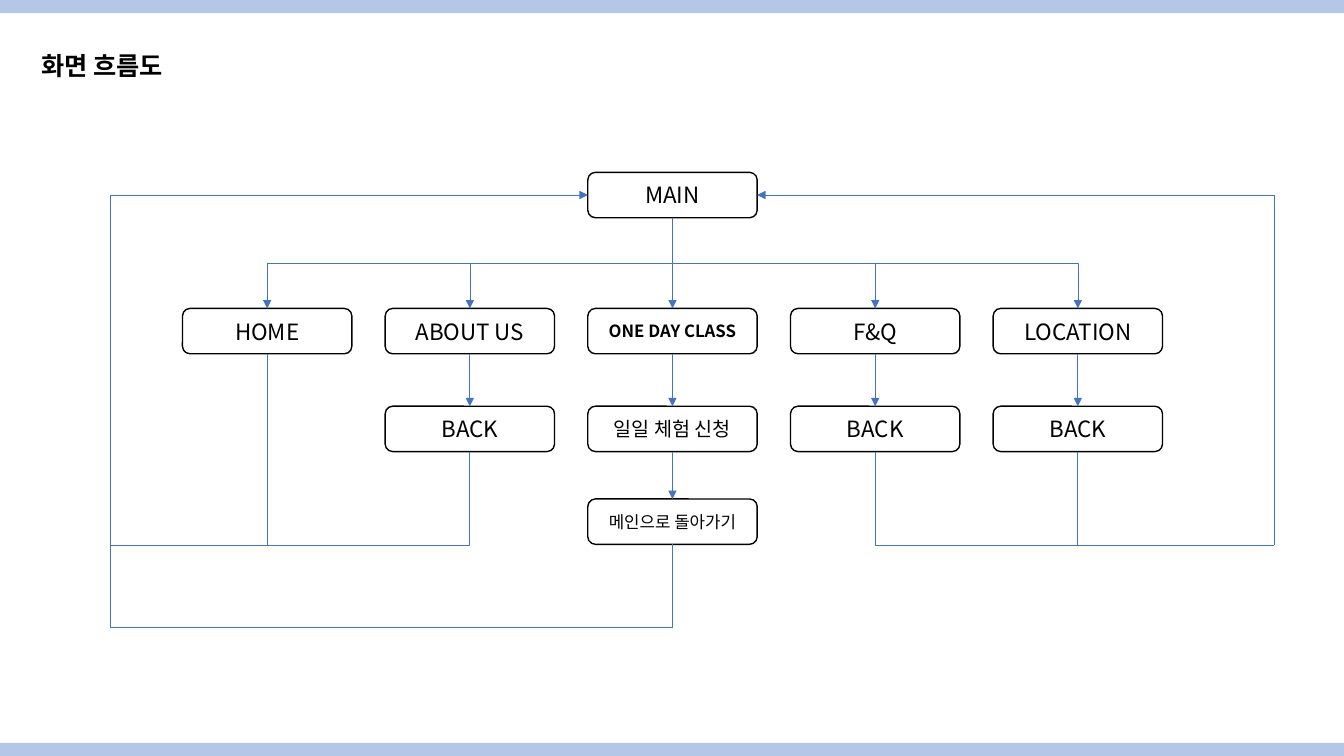
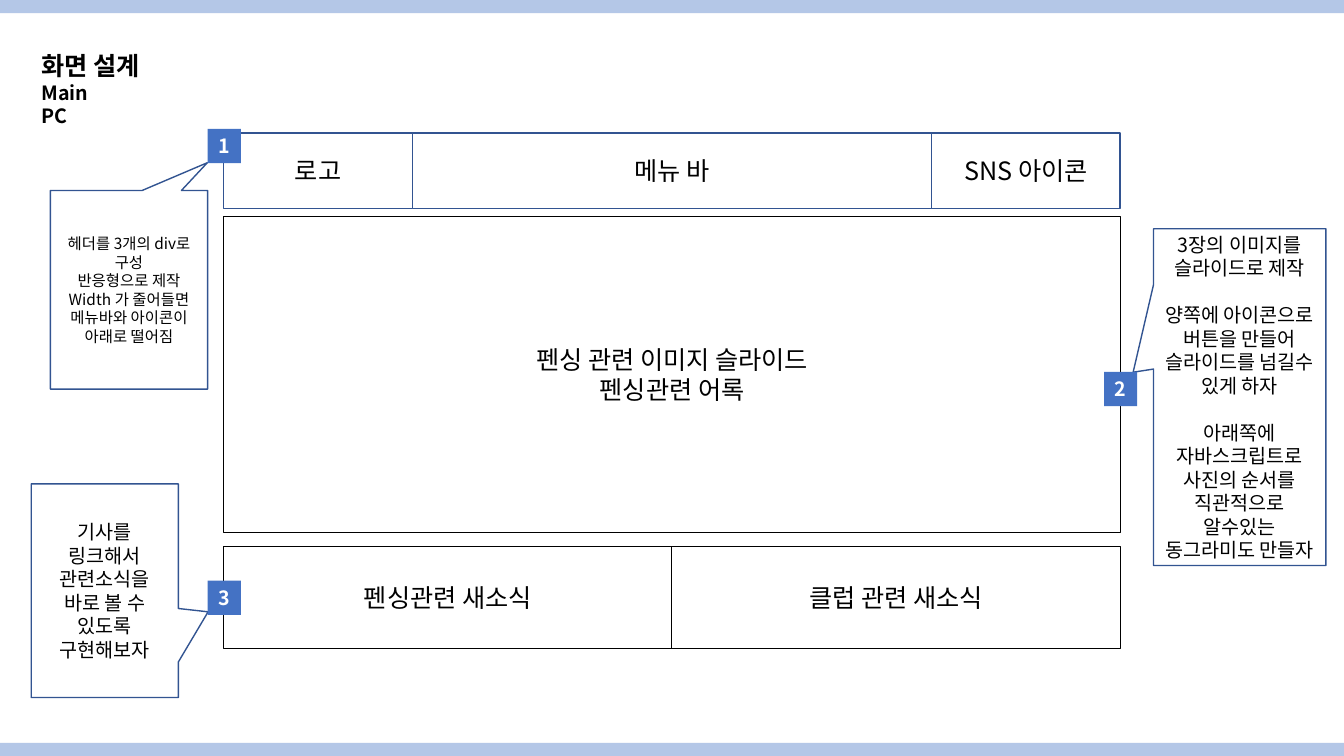
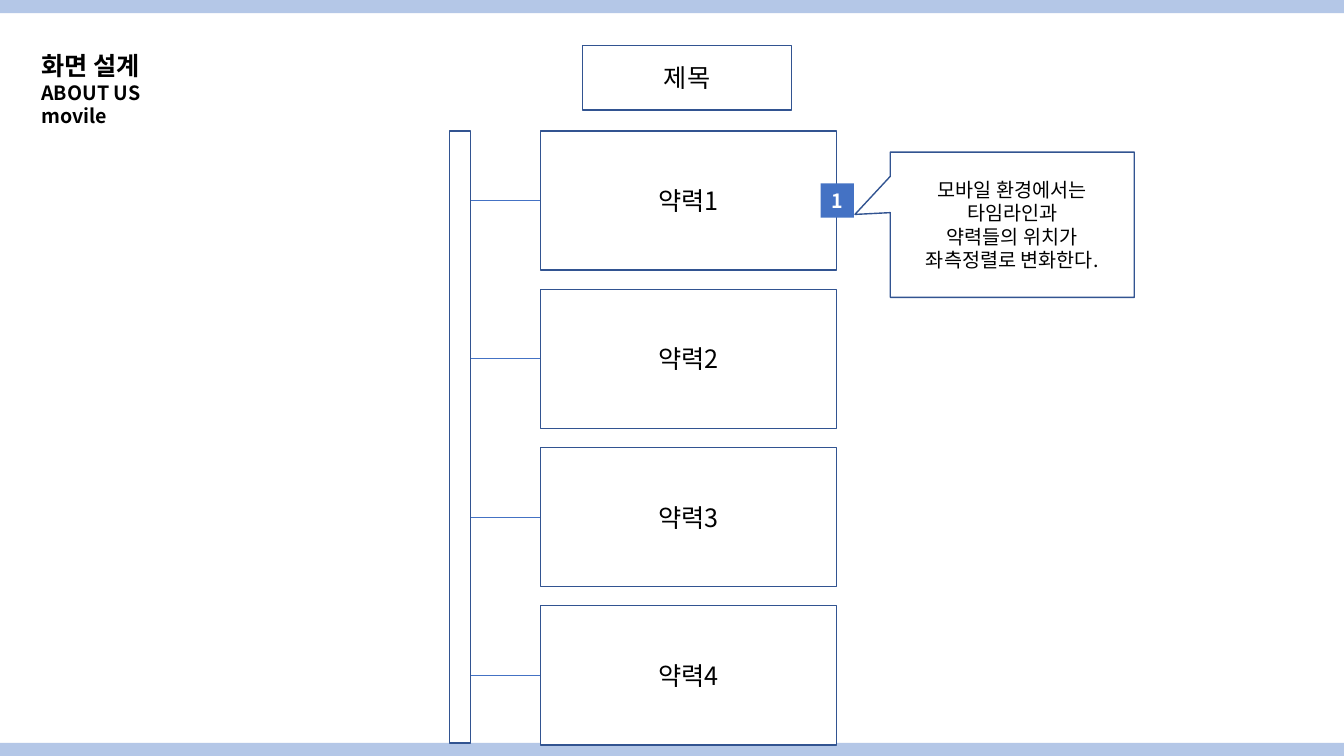
from lxml.etree import SubElement
from pptx import Presentation
from pptx.dml.color import RGBColor
from pptx.enum.shapes import MSO_CONNECTOR as CONNECTOR, MSO_SHAPE as SHAPE
from pptx.enum.text import MSO_ANCHOR as ANCHOR, PP_ALIGN as ALIGN
from pptx.oxml.ns import qn
from pptx.util import Inches, Pt

COLORS = {
    "band": "B4C7E7",
    "accent": "4472C4",
    "outline": "325491",
    "black": "000000",
    "white": "FFFFFF",
}
FONT = "Noto Sans CJK KR"
WIDTH, HEIGHT, BAND = 13.33, 7.5, 0.13
LINE_HEIGHT = 1.2
TOP, LEFT, BOTTOM, RIGHT = range(4)  # connection sites of a box


def rgb(name):
    return RGBColor.from_string(COLORS[name])


# Text
def write(frame, lines, sizes, color="black", bold=False, align=ALIGN.CENTER,
          anchor=ANCHOR.MIDDLE, gap_before=()):
    """Fill a frame; gap_before lists the paragraphs set off by one line."""
    frame.word_wrap = True
    frame.vertical_anchor = anchor
    frame.text = "\n".join(lines)
    for index, paragraph in enumerate(frame.paragraphs):
        size = sizes[min(index, len(sizes) - 1)]
        paragraph.alignment = align
        paragraph.line_spacing = Pt(size * LINE_HEIGHT)
        paragraph.space_before = Pt(size * LINE_HEIGHT if index in gap_before else 0)
        for run in paragraph.runs:
            font = run.font
            font.name, font.size, font.bold = FONT, Pt(size), bold
            font.color.rgb = rgb(color)
            SubElement(run._r.get_or_add_rPr(), qn("a:ea"), typeface=FONT)


# Shapes
def add_box(slide, at, lines=(), size=18, kind=SHAPE.RECTANGLE, fill="white",
            line="outline", weight=1, **text_style):
    box = slide.shapes.add_shape(kind, *map(Inches, at))
    box.shadow.inherit = False
    if fill:
        box.fill.solid()
        box.fill.fore_color.rgb = rgb(fill)
    else:
        box.fill.background()
    if line:
        box.line.color.rgb = rgb(line)
        box.line.width = Pt(weight)
    else:
        box.line.fill.background()
    if lines:
        write(box.text_frame, lines, [size], **text_style)
    return box


def add_callout(slide, at, pointer, lines, size=14, **text_style):
    callout = add_box(slide, at, lines, size, SHAPE.RECTANGULAR_CALLOUT, **text_style)
    callout.adjustments[0], callout.adjustments[1] = pointer


def add_badge(slide, left, top, number):
    add_box(slide, (left, top, 0.33, 0.34), [number], 14, fill="accent",
            line=None, color="white", bold=True)


# Lines
def add_line(slide, start, end, arrow=False, kind=CONNECTOR.STRAIGHT):
    line = slide.shapes.add_connector(kind, *map(Inches, start + end))
    line.line.color.rgb = rgb("accent")
    line.line.width = Pt(0.5)
    if arrow:
        SubElement(line.line._get_or_add_ln(), qn("a:tailEnd"), type="triangle")
    SubElement(line._element.spPr, qn("a:effectLst"))
    return line


def add_elbow(slide, start, end, preset, source, target=None):
    """Bent line that leaves its source box downwards."""
    (x1, y1), (x2, y2) = start, end
    across, down = abs(x2 - x1), abs(y2 - y1)
    mid_x, mid_y = (x1 + x2) / 2, (y1 + y2) / 2
    elbow = add_line(slide, start, end, target is not None, CONNECTOR.ELBOW)
    elbow.begin_connect(source, BOTTOM)
    if target is not None:
        elbow.end_connect(target, TOP)
    # A quarter turn makes the first segment vertical
    xfrm = elbow._element.spPr.find(qn("a:xfrm"))
    for flip in ("flipH", "flipV"):
        xfrm.attrib.pop(flip, None)
    elbow.left, elbow.top = Inches(mid_x - down / 2), Inches(mid_y - across / 2)
    elbow.width, elbow.height = Inches(down), Inches(across)
    xfrm.set("rot", "5400000" if x2 < x1 else "16200000")
    if x2 > x1:
        xfrm.set("flipH", "1")
    elbow._element.spPr.find(qn("a:prstGeom")).set("prst", preset)


# Shared slide frame
def new_slide(prs, *heading):
    slide = prs.slides.add_slide(prs.slide_layouts[5])
    for top in (0, HEIGHT - BAND):
        add_box(slide, (0, top, WIDTH, BAND), fill="band", line=None)
    title = slide.shapes.title
    title.left, title.top, title.width = Inches(0.31), Inches(0.45), Inches(1.56)
    title.height = Inches(0.64 if len(heading) == 1 else 0.88)
    write(title.text_frame, heading, [18, 14], bold=True, align=ALIGN.LEFT,
          anchor=ANCHOR.TOP)
    return slide


def build_screen_flow(prs):
    slide = new_slide(prs, "화면 흐름도")
    box_w, box_h = 1.68, 0.45
    column_x = [2.65 + 2.01 * column for column in range(5)]
    row_top = [1.71, 3.06, 4.03, 4.95]
    center = 2

    def add_step(column, row, label, size=16, bold=False):
        at = (column_x[column] - box_w / 2, row_top[row], box_w, box_h)
        return add_box(slide, at, [label], size, SHAPE.ROUNDED_RECTANGLE,
                       line="black", bold=bold)

    def foot(column, row):
        return column_x[column], row_top[row] + box_h

    # Screens
    main_screen = add_step(center, 0, "MAIN")
    menu = [add_step(column, 1, *label) for column, label in enumerate([
        ("HOME",), ("ABOUT US",), ("ONE DAY CLASS", 12, True), ("F&Q",), ("LOCATION",)])]
    back = {column: add_step(column, 2, "BACK") for column in (1, 3, 4)}
    apply = add_step(center, 2, "일일 체험 신청", 14)
    to_main = add_step(center, 3, "메인으로 돌아가기", 12)

    # Ways down
    for column, screen in enumerate(menu):
        if column != center:
            add_elbow(slide, foot(center, 0), (column_x[column], row_top[1]),
                      "bentConnector3", main_screen, screen)
    steps = [(center, 0, main_screen, menu[center]), (center, 1, menu[center], apply),
             (center, 2, apply, to_main)]
    steps += [(column, 1, menu[column], screen) for column, screen in back.items()]
    for column, row, upper, lower in steps:
        arrow = add_line(slide, foot(column, row), (column_x[column], row_top[row + 1]),
                         arrow=True)
        arrow.begin_connect(upper, BOTTOM)
        arrow.end_connect(lower, TOP)

    # Ways back to the main screen
    left_x, right_x, return_y, low_y = 1.09, 12.64, 5.41, 6.22
    main_y = row_top[0] + box_h / 2
    for column, row, source, corner in [
            (1, 2, back[1], (left_x, return_y)), (3, 2, back[3], (right_x, return_y)),
            (center, 3, to_main, (left_x, low_y))]:
        add_elbow(slide, foot(column, row), corner, "bentConnector2", source)
    for column, row in [(0, 1), (4, 2)]:
        add_line(slide, foot(column, row), (column_x[column], return_y))
    add_line(slide, (left_x, low_y), (left_x, return_y))
    for side_x, edge, site in [(left_x, -box_w / 2, LEFT), (right_x, box_w / 2, RIGHT)]:
        add_line(slide, (side_x, return_y), (side_x, main_y))
        arrow = add_line(slide, (side_x, main_y), (column_x[center] + edge, main_y),
                         arrow=True)
        arrow.end_connect(main_screen, site)


def build_main_pc(prs):
    slide = new_slide(prs, "화면 설계", "Main", "PC")
    page_x, page_w = 2.22, 8.89

    # Header
    header_x = page_x
    for label, part_w in [("로고", 1.87), ("메뉴 바", 5.15), ("SNS 아이콘", 1.87)]:
        add_box(slide, (header_x, 1.32, part_w, 0.75), [label])
        header_x += part_w

    # Image slider and news
    add_box(slide, (page_x, 2.15, page_w, 3.13),
            ["펜싱 관련 이미지 슬라이드", "펜싱관련 어록"],
            fill=None, line="black", weight=0.75)
    for column, label in enumerate(["펜싱관련 새소식", "클럽 관련 새소식"]):
        add_box(slide, (page_x + column * page_w / 2, 5.42, page_w / 2, 1.01), [label],
                fill=None, line="black", weight=0.75)

    # Notes
    add_callout(slide, (0.5, 1.89, 1.56, 1.97), (0.498, -0.64),
                ["헤더를 3개의 div로 구성", "반응형으로 제작", "Width 가 줄어들면",
                 "메뉴바와 아이콘이 아래로 떨어짐"], 11)
    add_callout(slide, (11.44, 2.27, 1.71, 3.34), (-0.618, -0.074),
                ["3장의 이미지를 슬라이드로 제작",
                 "양쪽에 아이콘으로 버튼을 만들어 슬라이드를 넘길수 있게 하자",
                 "아래쪽에 자바스크립트로 사진의 순서를 직관적으로 알수있는 동그라미도 만들자"],
                gap_before=(1, 2))
    add_callout(slide, (0.31, 4.8, 1.46, 2.12), (0.702, 0.099),
                ["기사를 링크해서 관련소식을 바로 볼 수 있도록 구현해보자"])
    for number, (left, top) in enumerate([(2.06, 1.28), (10.95, 3.69), (2.06, 5.76)], 1):
        add_badge(slide, left, top, str(number))


def build_about_mobile(prs):
    slide = new_slide(prs, "화면 설계", "ABOUT US", "movile")
    add_box(slide, (5.78, 0.45, 2.07, 0.64), ["제목"])

    # Timeline
    bar_x, bar_w, card_x, card_h = 4.46, 0.21, 5.36, 1.38
    add_box(slide, (bar_x, 1.3, bar_w, 6.07))
    for number in range(4):
        card_top = 1.3 + 1.57 * number
        card_mid = card_top + card_h / 2
        add_box(slide, (card_x, card_top, 2.94, card_h), [f"약력{number + 1}"])
        add_line(slide, (card_x, card_mid), (bar_x + bar_w, card_mid))

    # Note
    add_callout(slide, (8.83, 1.51, 2.42, 1.44), (-0.645, -0.071),
                ["모바일 환경에서는", "타임라인과", "약력들의 위치가",
                 "좌측정렬로 변화한다."])
    add_badge(slide, 8.14, 1.82, "1")


def main():
    prs = Presentation()
    prs.slide_width, prs.slide_height = Inches(WIDTH), Inches(HEIGHT)
    build_screen_flow(prs)
    build_main_pc(prs)
    build_about_mobile(prs)
    prs.save("out.pptx")


main()
